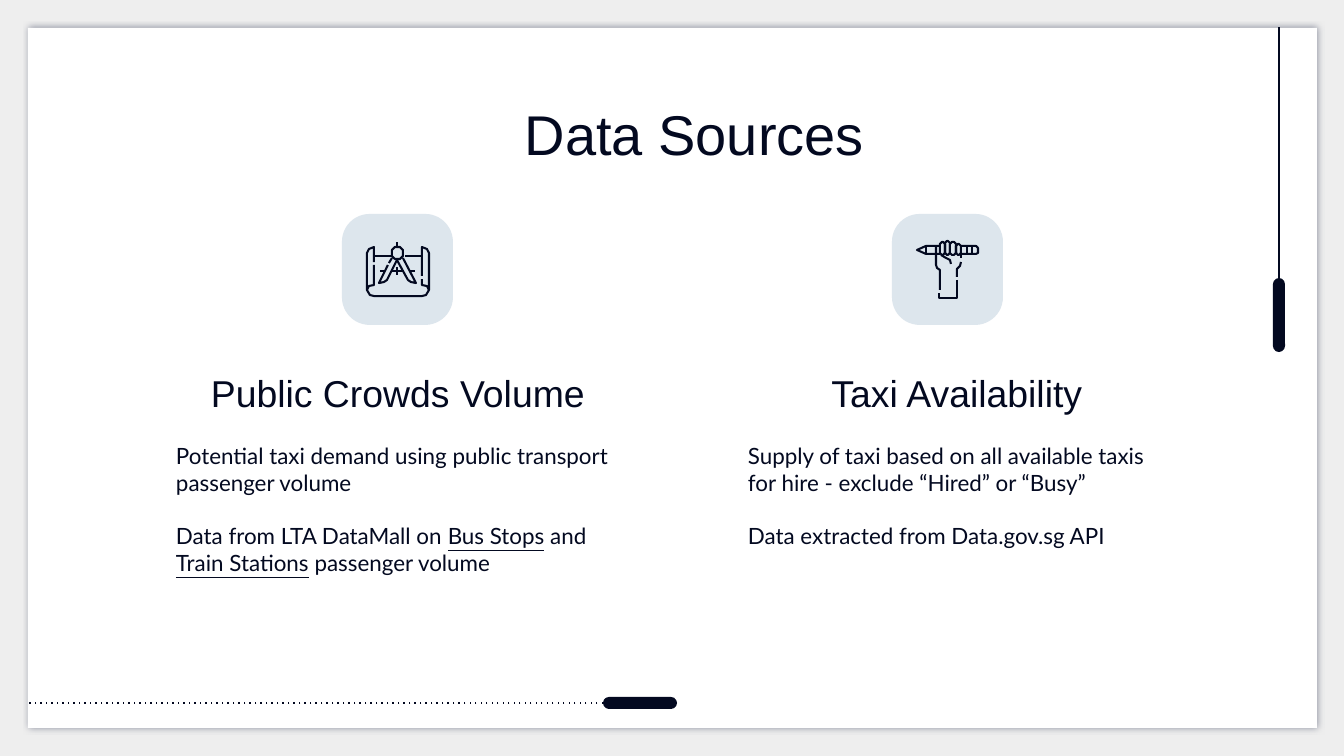
from dataclasses import dataclass

from lxml import etree
from pptx import Presentation
from pptx import util as u
from pptx.dml.color import RGBColor
from pptx.enum import shapes, text
from pptx.oxml import ns

UNIT = 914400 / 134.4  # EMU in one px
PAD = 13
Point = tuple[int, int]
Stroke = list[Point]
Kind = shapes.MSO_SHAPE


@dataclass(frozen=True)
class Theme:
    ink: str = "030920"
    tile: str = "DDE6ED"
    page: str = "EEEEEE"
    panel: str = "FFFFFF"
    shade: str = "2A3250"
    head: str = "Arial"
    body: str = "Lato"
    title: int = 30
    sub: int = 20
    copy: int = 12
    gap: float = 14.2
    rule: float = 0.75
    pen: float = 1.1


@dataclass(frozen=True)
class Box:
    x: int
    y: int
    w: int
    h: int


@dataclass(frozen=True)
class Source:
    """One column; each paragraph is a list of runs, odd runs underlined."""
    name: str
    head: Box
    body: Box
    tile: Box
    icon: list[list[Stroke]]
    paras: list[list[str]]


def ring(x: int, y: int, w: int, h: int, cut: int) -> Stroke:
    """Outline of a box with its corners cut off."""
    r, b = x + w, y + h
    return [(x + cut, y), (r - cut, y), (r, y + cut), (r, b - cut), (r - cut, b),
            (x + cut, b), (x, b - cut), (x, y + cut), (x + cut, y)]


THEME = Theme()

COMPASS = [[
    [(374, 262), (374, 247), (369, 249), (367, 253), (367, 290), (370, 295),
     (374, 296), (422, 296), (426, 295), (429, 290), (429, 253), (427, 249),
     (422, 247), (422, 276)],
    [(374, 265), (374, 285), (369, 286), (367, 290)],
    [(422, 279), (422, 285), (427, 286), (429, 290)],
    [(374, 256), (391, 256)], [(405, 256), (422, 256)],
    [(397, 242), (397, 247)], [(392, 258), (389, 263)],
    [(388, 265), (379, 283), (384, 282), (387, 280), (397, 260),
     (408, 280), (411, 282), (416, 283), (403, 258)],
    [(380, 271), (385, 271)], [(392, 271), (404, 271)],
    [(409, 271), (415, 271)], [(397, 267), (397, 275)],
    ring(392, 247, 11, 12, 3),
]]

HAND = [
    [[(961, 262), (960, 266), (957, 269), (957, 277)]],
    [[(957, 280), (957, 298), (939, 298), (939, 293)]],
    [
        [(940, 246), (926, 246), (917, 250), (926, 254), (940, 254)],
        [(926, 246), (926, 254)],
        [(936, 246), (936, 265), (937, 268), (940, 270), (940, 290)],
        [(941, 255), (946, 258), (950, 260), (951, 264)],
        [(961, 246), (976, 246), (978, 248), (978, 253), (976, 254), (961, 254)],
        [(967, 246), (967, 254)], [(972, 246), (972, 254)],
        [(961, 254), (961, 258)],
        ring(940, 242, 5, 13, 2), ring(945, 241, 5, 14, 2),
        ring(950, 242, 6, 13, 2), ring(956, 244, 5, 11, 2),
    ],
]

SOURCES = [
    Source("Public Crowds Volume", Box(166, 346, 464, 82), Box(163, 429, 470, 187),
           Box(342, 214, 111, 111), COMPASS,
           [["Potential taxi demand using public transport passenger volume"],
            ["Data from LTA DataMall on ", "Bus Stops", " and ",
             "Train Stations", " passenger volume"]]),
    Source("Taxi Availability", Box(800, 346, 314, 82), Box(735, 429, 445, 206),
           Box(892, 214, 111, 111), HAND,
           [["Supply of taxi based on all available taxis for hire"
             " - exclude “Hired” or “Busy”"],
            ["Data extracted from Data.gov.sg API"]]),
]


def emu(px: int) -> int:
    return round(px * UNIT)


def rgb(code: str) -> RGBColor:
    return RGBColor.from_string(code)


def span(box: Box) -> list[int]:
    return [emu(n) for n in (box.x, box.y, box.w, box.h)]


def block(slide, kind: Kind, box: Box, fill: str, turn: float = 0):
    shape = slide.shapes.add_shape(kind, *span(box))
    shape.shadow.inherit = False
    shape.fill.solid()
    shape.fill.fore_color.rgb = rgb(fill)
    shape.line.fill.background()
    if turn:
        shape.adjustments[0] = turn
    return shape


def shade(shape) -> None:
    """Add a soft outer shadow."""
    glow = etree.SubElement(shape.element.spPr.find(ns.qn("a:effectLst")),
                            ns.qn("a:outerShdw"), blurRad=str(u.Pt(3.4)),
                            dist=str(u.Pt(0.8)), dir="0", algn="bl", rotWithShape="0")
    tint = etree.SubElement(glow, ns.qn("a:srgbClr"), val=THEME.shade)
    etree.SubElement(tint, ns.qn("a:alpha"), val="50000")


def rule(slide, start: Point, end: Point, dots: bool = False) -> None:
    line = slide.shapes.add_connector(
        shapes.MSO_CONNECTOR.STRAIGHT, *[emu(n) for n in start + end])
    etree.SubElement(line.element.spPr, ns.qn("a:effectLst"))
    line.line.color.rgb = rgb(THEME.ink)
    line.line.width = u.Pt(THEME.rule)
    if dots:
        stroke = line.element.spPr.find(ns.qn("a:ln"))
        etree.SubElement(stroke, ns.qn("a:prstDash"), val="dot")


def sketch(slide, strokes: list[Stroke]) -> None:
    """Draw all strokes as one outline."""
    path = slide.shapes.build_freeform(*strokes[0][0], scale=UNIT)
    for i, (first, *rest) in enumerate(strokes):
        if i:
            path.move_to(*first)
        path.add_line_segments(rest, close=False)
    shape = path.convert_to_shape()
    shape.shadow.inherit = False
    shape.fill.background()
    shape.line.color.rgb = rgb(THEME.ink)
    shape.line.width = u.Pt(THEME.pen)


def write(shape, paras: list[list[str]], face: str, size: int,
          align: text.PP_ALIGN, anchor: text.MSO_ANCHOR) -> None:
    frame = shape.text_frame
    frame.word_wrap = True
    frame.auto_size = text.MSO_AUTO_SIZE.NONE
    frame.vertical_anchor = anchor
    frame.margin_left = frame.margin_right = emu(PAD)
    frame.margin_top = frame.margin_bottom = emu(PAD)
    for i, parts in enumerate(paras):
        para = frame.add_paragraph() if i else frame.paragraphs[0]
        para.alignment = align
        if i:
            para.space_before = u.Pt(THEME.gap)
        for j, part in enumerate(parts):
            run = para.add_run()
            run.text = part
            run.font.name = face
            run.font.size = u.Pt(size)
            run.font.color.rgb = rgb(THEME.ink)
            if j % 2:
                run.font.underline = True


def column(slide, src: Source) -> None:
    head = slide.shapes.add_textbox(*span(src.head))
    write(head, [[src.name]], THEME.head, THEME.sub,
          text.PP_ALIGN.CENTER, text.MSO_ANCHOR.BOTTOM)
    body = slide.shapes.add_textbox(*span(src.body))
    write(body, src.paras, THEME.body, THEME.copy,
          text.PP_ALIGN.LEFT, text.MSO_ANCHOR.TOP)
    block(slide, Kind.ROUNDED_RECTANGLE, src.tile, THEME.tile, 0.25)
    for strokes in src.icon:
        sketch(slide, strokes)


def frame(slide) -> None:
    """Draw the page, its panel and the two edge rules."""
    slide.background.fill.solid()
    slide.background.fill.fore_color.rgb = rgb(THEME.page)
    shade(block(slide, Kind.RECTANGLE, Box(28, 28, 1289, 700), THEME.panel))
    for bar in (Box(1273, 278, 12, 74), Box(603, 697, 74, 12)):
        block(slide, Kind.ROUNDED_RECTANGLE, bar, THEME.ink, 0.5)
    rule(slide, (1279, 281), (1279, 27))
    rule(slide, (603, 703), (27, 703), dots=True)


def main() -> None:
    deck = Presentation()
    deck.slide_width, deck.slide_height = emu(1344), emu(756)
    slide = deck.slides.add_slide(deck.slide_layouts.get_by_name("Title Only"))
    frame(slide)
    title = slide.shapes.title
    slide.shapes.element.append(title.element)  # bring in front of the panel
    title.left, title.top, title.width, title.height = span(Box(128, 87, 1133, 85))
    write(title, [["Data Sources"]], THEME.head, THEME.title,
          text.PP_ALIGN.CENTER, text.MSO_ANCHOR.TOP)
    for src in SOURCES:
        column(slide, src)
    deck.save("out.pptx")


if __name__ == "__main__":
    main()
